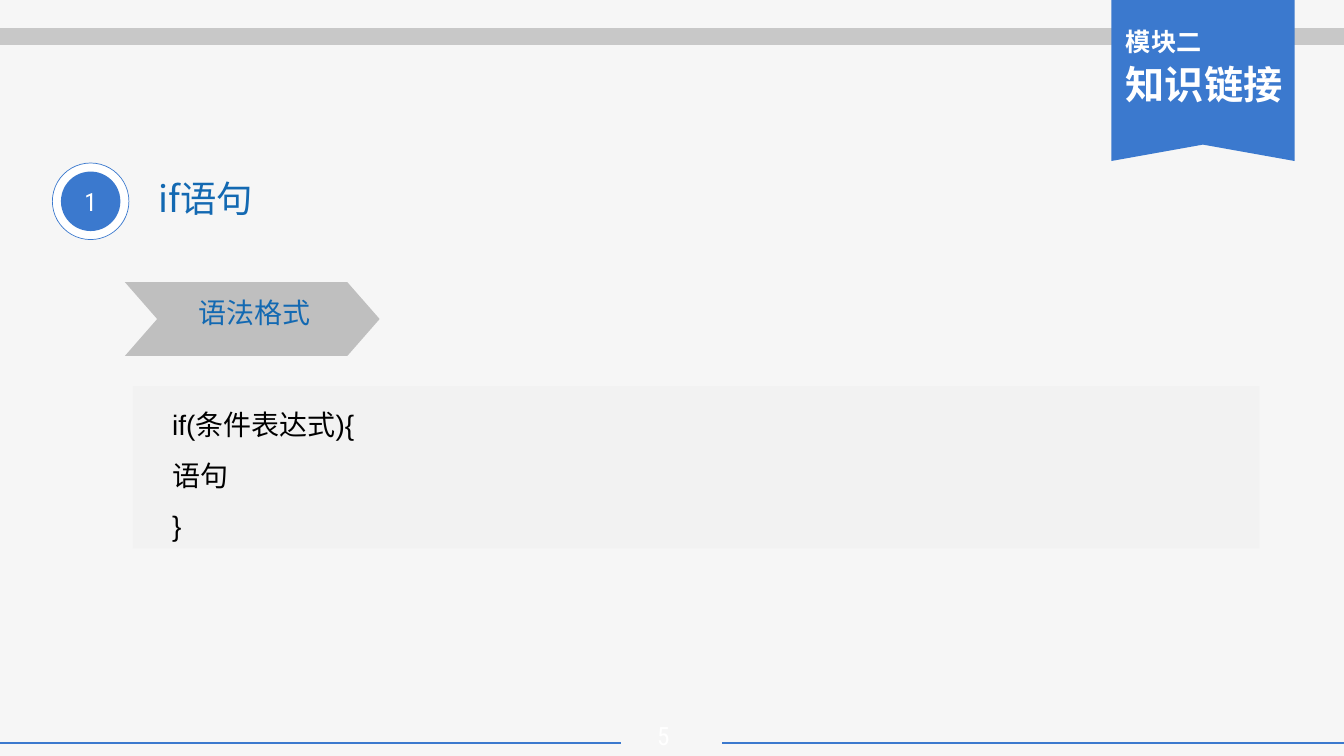
from pptx import Presentation
from pptx.dml.color import RGBColor
from pptx.enum.shapes import MSO_CONNECTOR, MSO_SHAPE
from pptx.enum.text import MSO_ANCHOR, PP_ALIGN
from pptx.oxml.ns import qn
from pptx.util import Pt

TITLE = "if语句"
NUMBER = "1"
LABEL = "语法格式"
CODE = ["if(条件表达式){", "语句", "}"]
RIBBON = ["模块二", "知识链接"]
PAGE = "5"

THEME = {
    "back": "F6F6F6", "blue": "3B79CE", "ink": "1369B2", "bar": "C8C8C8",
    "arrow": "BFBFBF", "panel": "F2F2F2", "white": "FFFFFF", "black": "000000",
    "cjk": "Noto Sans CJK SC", "latin": "Arial", "digit": "Roboto Condensed",
    "title": 26, "body": 20, "small": 18, "head": 28,
}
WIDE, HIGH = 960.48, 540

deck = Presentation()
deck.slide_width, deck.slide_height = Pt(WIDE), Pt(HIGH)
slide = deck.slides.add_slide(deck.slide_layouts[6])
shapes = slide.shapes


def color(name):
    return RGBColor.from_string(THEME[name])


def paint(fill, name):
    fill.solid()
    fill.fore_color.rgb = color(name)


def rule(x1, x2, y, name, width):
    """Draw a horizontal line."""
    line = shapes.add_connector(MSO_CONNECTOR.STRAIGHT, Pt(x1), Pt(y), Pt(x2), Pt(y))
    line.line.color.rgb = color(name)
    line.line.width = Pt(width)
    props = line._element.spPr
    props.append(props.makeelement(qn("a:effectLst"), {}))


def finish(shape, fill, edge=None):
    shape.shadow.inherit = False
    paint(shape.fill, fill)
    if edge:
        shape.line.color.rgb = color(edge)
        shape.line.width = Pt(0.5)
    else:
        shape.line.fill.background()
    return shape


def block(kind, box, fill, edge=None):
    return finish(shapes.add_shape(kind, *map(Pt, box)), fill, edge)


def disc(mid, size, fill, edge=None):
    x, y = mid
    return block(MSO_SHAPE.OVAL, (x - size / 2, y - size / 2, size, size), fill, edge)


def write(shape, lines, sizes, tone, face="cjk", bold=False,
          align=PP_ALIGN.LEFT, anchor=MSO_ANCHOR.TOP, wrap=True):
    frame = shape.text_frame
    frame.text = "\n".join(lines)
    frame.word_wrap = wrap
    frame.vertical_anchor = anchor
    for para, size in zip(frame.paragraphs, sizes):
        para.alignment = align
        for run in para.runs:
            font = run.font
            font.size, font.bold, font.name = Pt(THEME[size]), bold, THEME[face]
            font.color.rgb = color(tone)
            east = run._r.rPr.makeelement(qn("a:ea"), {"typeface": THEME["cjk"]})
            run._r.rPr.find(qn("a:latin")).addnext(east)
    return frame.paragraphs


def label(box, *args, **style):
    return write(shapes.add_textbox(*map(Pt, box)), *args, **style)


paint(slide.background.fill, "back")

# Frame lines
foot = 530.7
rule(516.3, WIDE, foot, "blue", 1.77)
rule(0, 443.6, foot, "blue", 1.77)
rule(0, WIDE, 26, "bar", 12)

# Ribbon with a notched lower edge
left, right, low, notch = 794.2, 925.2, 115, 103.3
pen = shapes.build_freeform(Pt(left), 0)
pen.add_line_segments([(Pt(right), 0), (Pt(right), Pt(low)),
                       (Pt((left + right) / 2), Pt(notch)), (Pt(left), Pt(low))])
finish(pen.convert_to_shape(), "blue")
for para in label((797.5, 15, 128.5, 66), RIBBON, ("small", "head"), "white", bold=True):
    para.space_after = Pt(3)

# Numbered heading
label((106, 122.4, 254, 34), [TITLE], ["title"], "ink")
mid = (64.8, 143.8)
disc(mid, 54.7, "white", "blue")
write(disc(mid, 42.5, "blue"), [NUMBER], ["small"], "white", face="digit",
      align=PP_ALIGN.CENTER, anchor=MSO_ANCHOR.MIDDLE)

# Syntax label and code panel
arrow = block(MSO_SHAPE.CHEVRON, (89.3, 201.6, 182, 52.6), "arrow")
arrow.adjustments[0] = 0.438
panel = block(MSO_SHAPE.RECTANGLE, (95, 275.8, 805, 116), "panel")
for para in write(panel, CODE, ["body"] * len(CODE), "black", face="latin"):
    para.line_spacing = 1.5
    para._p.get_or_add_pPr().set("marL", str(Pt(20.9)))
label((134.6, 207.4, 94.4, 31.7), [LABEL], ["body"], "ink", wrap=False)

label((444, 510, 60, 30), [PAGE], ["small"], "white", face="digit",
      align=PP_ALIGN.CENTER, anchor=MSO_ANCHOR.MIDDLE)

deck.save("out.pptx")
